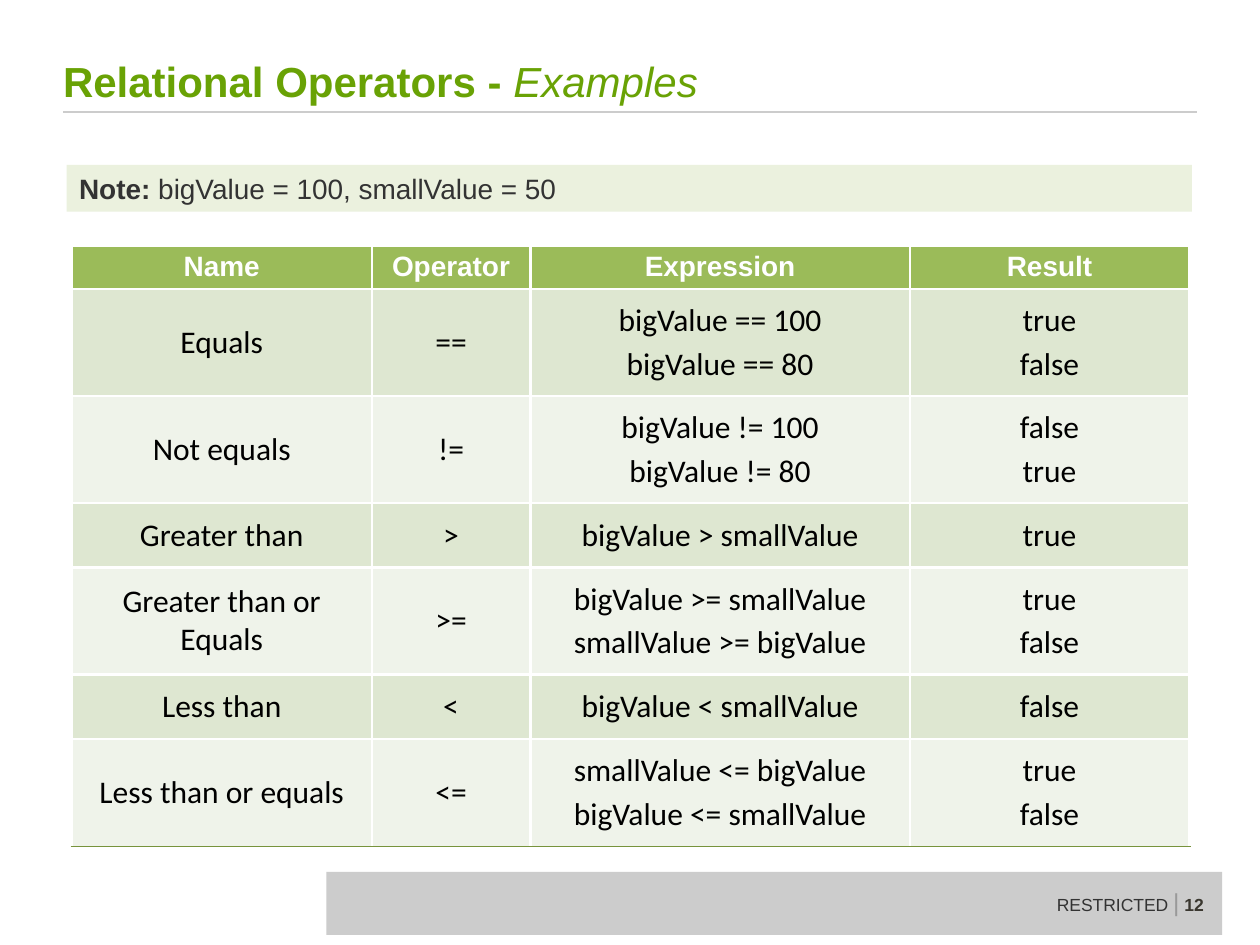
from lxml.etree import SubElement
from pptx import Presentation
from pptx.dml.color import RGBColor
from pptx.enum.shapes import MSO_CONNECTOR, MSO_SHAPE
from pptx.enum.text import MSO_ANCHOR, PP_ALIGN
from pptx.oxml.ns import qn
from pptx.util import Inches, Pt

WHITE = RGBColor(0xFF, 0xFF, 0xFF)
BLACK = RGBColor(0x00, 0x00, 0x00)
TITLE_GREEN = RGBColor(0x69, 0xA2, 0x05)
HEADER_GREEN = RGBColor(0x9B, 0xBB, 0x59)
BAND_DARK = RGBColor(0xDE, 0xE7, 0xD1)
BAND_LIGHT = RGBColor(0xEF, 0xF3, 0xEA)
NOTE_GREEN = RGBColor(0xEB, 0xF1, 0xDE)
EDGE_GREEN = RGBColor(0x77, 0x93, 0x3C)
LIGHT_GREY = RGBColor(0xCC, 0xCC, 0xCC)
MID_GREY = RGBColor(0x99, 0x99, 0x99)
DARK_GREY = RGBColor(0x33, 0x33, 0x33)
PAGE_GREY = RGBColor(0x3A, 0x37, 0x2F)

HEADERS = ["Name", "Operator", "Expression", "Result"]
# Each newline starts a second paragraph in the cell
ROWS = [
    ["Equals", "==", "bigValue == 100\nbigValue == 80", "true\nfalse"],
    ["Not equals", "!=", "bigValue != 100\nbigValue != 80", "false\ntrue"],
    ["Greater than", ">", "bigValue > smallValue", "true"],
    ["Greater than or Equals", ">=",
     "bigValue >= smallValue\nsmallValue >= bigValue", "true\nfalse"],
    ["Less than", "<", "bigValue < smallValue", "false"],
    ["Less than or equals", "<=",
     "smallValue <= bigValue\nbigValue <= smallValue", "true\nfalse"],
]
COLUMN_WIDTHS = [2.38, 1.26, 3.01, 2.22]
HEADER_HEIGHT, SINGLE_HEIGHT, DOUBLE_HEIGHT = 0.34, 0.51, 0.85


def style_font(font, size, color, bold=False, italic=False, name="Arial"):
    font.name = name
    font.size = Pt(size)
    font.color.rgb = color
    font.bold = bold
    font.italic = italic


def add_run(paragraph, text, *style, **options):
    run = paragraph.add_run()
    run.text = text
    style_font(run.font, *style, **options)


def add_title(slide):
    title = slide.shapes.title
    title.left, title.top = Inches(0.5), Inches(0.02)
    title.width, title.height = Inches(9), Inches(0.87)
    frame = title.text_frame
    frame.margin_left = frame.margin_top = frame.margin_right = 0
    frame.margin_bottom = Inches(0.05)
    frame.vertical_anchor = MSO_ANCHOR.BOTTOM
    paragraph = frame.paragraphs[0]
    paragraph.alignment = PP_ALIGN.LEFT
    add_run(paragraph, "Relational Operators - ", 24, TITLE_GREEN, bold=True)
    add_run(paragraph, "Examples", 24, TITLE_GREEN, italic=True)


def add_rule(slide):
    rule = slide.shapes.add_connector(
        MSO_CONNECTOR.STRAIGHT, Inches(0.5), Inches(0.89), Inches(9.5), Inches(0.89))
    rule.line.color.rgb = LIGHT_GREY
    rule.line.width = Pt(1.5)
    SubElement(rule._element.spPr, qn("a:effectLst"))


def add_bar(slide, left, top, width, height, color):
    bar = slide.shapes.add_shape(
        MSO_SHAPE.RECTANGLE, Inches(left), Inches(top), Inches(width), Inches(height))
    bar.shadow.inherit = False
    bar.fill.solid()
    bar.fill.fore_color.rgb = color
    bar.line.fill.background()
    return bar


def add_footer(slide):
    add_bar(slide, 2.59, 6.92, 7.11, 0.5, LIGHT_GREY)
    label = slide.shapes.add_textbox(Inches(8.29), Inches(6.99), Inches(1.4), Inches(0.34))
    label.text_frame.word_wrap = False
    paragraph = label.text_frame.paragraphs[0]
    add_run(paragraph, "RESTRICTED ", 10, DARK_GREY)
    add_run(paragraph, "|", 14, MID_GREY)
    add_run(paragraph, " 12", 10, PAGE_GREY, bold=True)


def add_note(slide):
    note = add_bar(slide, 0.53, 1.31, 8.93, 0.37, NOTE_GREEN)
    note.text_frame.vertical_anchor = MSO_ANCHOR.TOP
    paragraph = note.text_frame.paragraphs[0]
    paragraph.alignment = PP_ALIGN.LEFT
    add_run(paragraph, "Note: ", 16, DARK_GREY, bold=True)
    add_run(paragraph, "bigValue = 100, smallValue = 50", 16, DARK_GREY)


def set_borders(cell, bottom_color, bottom_width):
    properties = cell._tc.get_or_add_tcPr()
    for side in ("L", "R", "T", "B"):
        color, width = (bottom_color, bottom_width) if side == "B" else (WHITE, 1.5)
        line = SubElement(properties, qn(f"a:ln{side}"), w=str(Pt(width)))
        fill = SubElement(line, qn("a:solidFill"))
        SubElement(fill, qn("a:srgbClr"), val=str(color))


def fill_cell(cell, text, color, is_header, is_last):
    set_borders(cell, *((EDGE_GREEN, 0.25) if is_last else (WHITE, 1.5)))
    cell.fill.solid()
    cell.fill.fore_color.rgb = color
    cell.vertical_anchor = MSO_ANCHOR.MIDDLE
    if not is_header:
        cell.margin_left = cell.margin_right = Inches(0.2)
        cell.margin_top = cell.margin_bottom = Inches(0.1)
    cell.text_frame.text = text
    for index, paragraph in enumerate(cell.text_frame.paragraphs):
        paragraph.alignment = PP_ALIGN.CENTER
        if index:
            paragraph.space_before = Pt(3)
        font = paragraph.runs[0].font
        if is_header:
            paragraph.line_spacing = Pt(17.5)
            style_font(font, 16, WHITE, bold=True)
        else:
            style_font(font, 18, BLACK, name="Calibri")


def add_operator_table(slide):
    heights = [HEADER_HEIGHT] + [
        DOUBLE_HEIGHT if "\n" in row[2] else SINGLE_HEIGHT for row in ROWS]
    table = slide.shapes.add_table(
        len(heights), len(HEADERS), Inches(0.57), Inches(1.95),
        Inches(sum(COLUMN_WIDTHS)), Inches(sum(heights))).table
    for column, width in zip(table.columns, COLUMN_WIDTHS):
        column.width = Inches(width)
    for index, values in enumerate([HEADERS] + ROWS):
        table.rows[index].height = Inches(heights[index])
        band = BAND_DARK if index % 2 else BAND_LIGHT
        color = band if index else HEADER_GREEN
        for cell, text in zip(table.rows[index].cells, values):
            fill_cell(cell, text, color, index == 0, index == len(ROWS))


def main():
    presentation = Presentation()
    presentation.slide_width, presentation.slide_height = Inches(10), Inches(7.5)
    slide = presentation.slides.add_slide(presentation.slide_layouts[5])
    add_rule(slide)
    add_footer(slide)
    add_title(slide)
    add_operator_table(slide)
    add_note(slide)
    presentation.save("out.pptx")


if __name__ == "__main__":
    main()
